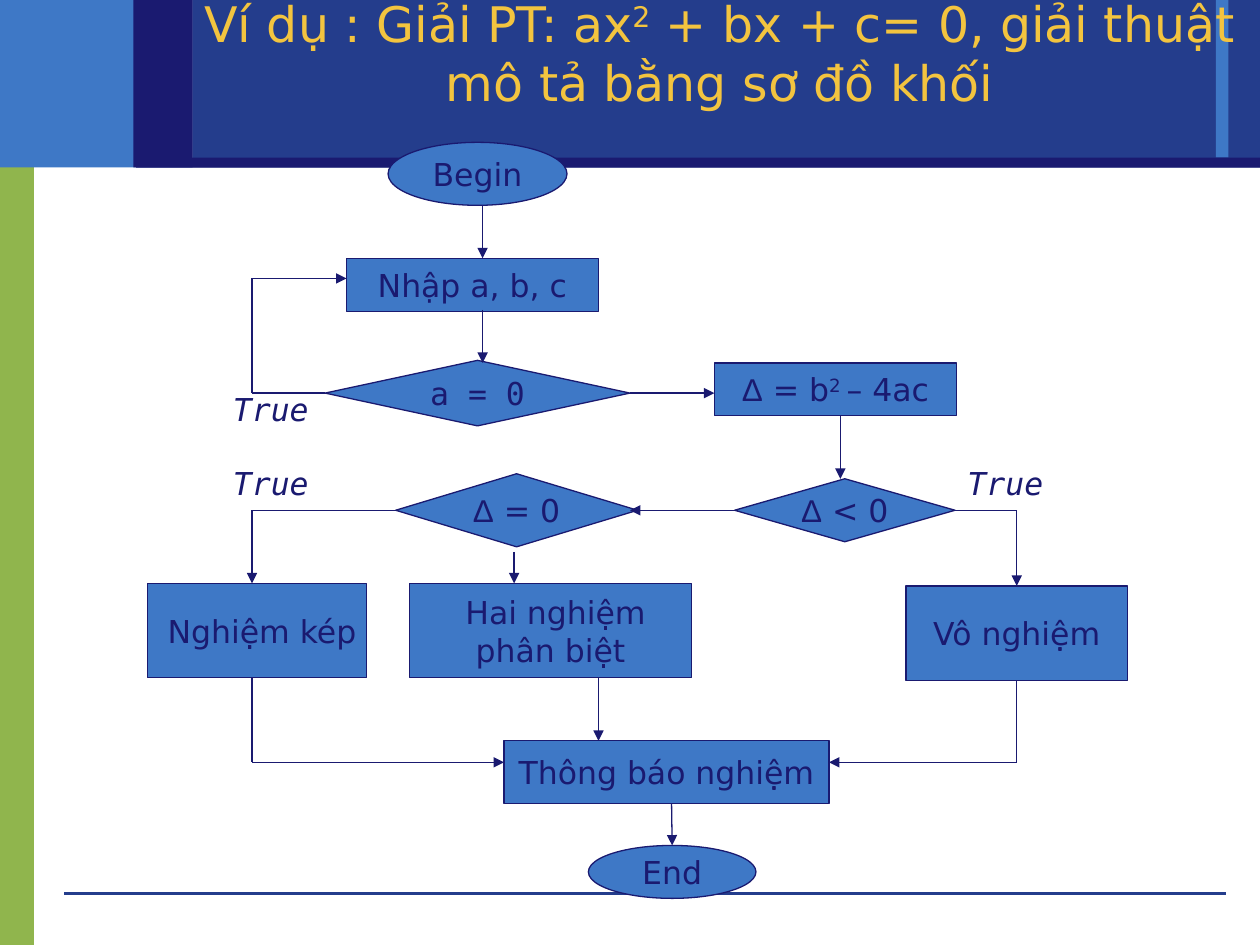
from itertools import pairwise

from lxml.etree import SubElement
from pptx import Presentation
from pptx.dml.color import RGBColor
from pptx.enum.shapes import MSO_CONNECTOR, MSO_SHAPE as Shape
from pptx.enum.text import MSO_ANCHOR as Anchor, MSO_AUTO_SIZE as AutoSize, PP_ALIGN as Align
from pptx.oxml.ns import qn
from pptx.util import Inches, Pt

NAVY, ROYAL, BLUE, GREEN, GOLD = "1A1A70", "243D8C", "3E78C6", "90B54D", "F3C43F"
SANS, MONO = "DejaVu Sans", "DejaVu Sans Mono"
TOP, LEFT, BOTTOM, RIGHT = range(4)
SUPER = {"baseline": 30000}
DELTA = ("Δ", {"font": "Arial"})


def rgb(value):
    return RGBColor.from_string(value)


def write_text(tf, paragraphs, size=18, font=SANS, color=NAVY, italic=False,
               align=Align.CENTER, before=0):
    """Fill a frame; each paragraph is a string or a list of (text, overrides)."""
    for i, runs in enumerate(paragraphs):
        p = tf.add_paragraph() if i else tf.paragraphs[0]
        p.alignment = align
        p.space_before = Pt(before)
        for text, own in [(runs, {})] if isinstance(runs, str) else runs:
            r = p.add_run()
            r.text = text
            r.font.size = Pt(size)
            r.font.name = own.get("font", font)
            r.font.italic = italic
            r.font.color.rgb = rgb(color)
            if "baseline" in own:
                r.font._element.set("baseline", str(own["baseline"]))


def add_block(s, kind, box, fill, line=None):
    sp = s.shapes.add_shape(kind, *map(Inches, box))
    sp.shadow.inherit = False
    sp.fill.solid()
    sp.fill.fore_color.rgb = rgb(fill)
    if line:
        sp.line.color.rgb = rgb(line)
        sp.line.width = Pt(0.75)
    else:
        sp.line.fill.background()
    return sp


def add_node(s, kind, box, *paragraphs, **fmt):
    sp = add_block(s, kind, box, BLUE, NAVY)
    tf = sp.text_frame
    tf.word_wrap = False
    tf.vertical_anchor = Anchor.MIDDLE
    write_text(tf, paragraphs, **fmt)
    return sp


def add_line(s, begin, end, color=NAVY, width=0.75, arrow=False):
    line = s.shapes.add_connector(MSO_CONNECTOR.STRAIGHT, *map(Inches, (*begin, *end)))
    line.line.color.rgb = rgb(color)
    line.line.width = Pt(width)
    if arrow:
        SubElement(line.line._get_or_add_ln(), qn("a:tailEnd"), type="triangle")
    SubElement(line._element.spPr, qn("a:effectLst"))
    return line


def add_flow(s, *points, begin=None, end=None, width=0.75):
    """Draw a path whose last leg has an arrow; begin and end are (shape, site)."""
    legs = list(pairwise(points))
    lines = [add_line(s, a, b, width=width, arrow=(i == len(legs)))
             for i, (a, b) in enumerate(legs, 1)]
    if begin:
        lines[0].begin_connect(*begin)
    if end:
        lines[-1].end_connect(*end)


def add_true_label(s, x, y):
    tf = s.shapes.add_textbox(*map(Inches, (x, y, 0.83, 0.4))).text_frame
    tf.word_wrap = True
    write_text(tf, ["True"], font=MONO, italic=True, align=Align.LEFT, before=11.2)


def add_backdrop(s):
    for box, fill in [
        ((0, 1.07, 0.27, 6.43), GREEN),
        ((0, 0, 1.53, 1.33), BLUE),
        ((1.53, 0, 8.47, 1.33), ROYAL),
        ((9.65, 0, 0.1, 1.25), BLUE),
        ((1.08, 1.25, 8.92, 0.08), NAVY),
        ((1.06, 0, 0.47, 1.33), NAVY),
    ]:
        add_block(s, Shape.RECTANGLE, box, fill)
    add_line(s, (0.51, 7.09), (9.73, 7.09), ROYAL, 0)


def add_title(s):
    title = s.shapes.title
    title.left, title.top, title.width, title.height = map(Inches, (1.42, 0, 8.58, 0.83))
    tf = title.text_frame
    tf.word_wrap = True
    tf.auto_size = AutoSize.NONE
    tf.vertical_anchor = Anchor.MIDDLE
    write_text(tf, [[("Ví dụ : Giải PT: ax", {}), ("2", SUPER),
                     (" + bx + c= 0, giải thuật mô tả bằng sơ đồ khối", {})]],
               size=28, color=GOLD)
    # The title must stand in front of the backdrop
    title.element.getparent().append(title.element)


def add_flowchart(s):
    rect, oval, test = Shape.RECTANGLE, Shape.OVAL, Shape.FLOWCHART_DECISION
    add_node(s, oval, (3.08, 1.13, 1.42, 0.5), "Begin")
    add_node(s, rect, (2.75, 2.05, 2, 0.42), "Nhập a, b, c")
    a_zero = add_node(s, test, (2.58, 2.86, 2.42, 0.52), "a = 0", font=MONO)
    add_node(s, rect, (5.67, 2.88, 1.92, 0.42),
             [DELTA, (" = b", {}), ("2 ", SUPER), ("– 4ac", {})])
    negative = add_node(s, test, (5.83, 3.8, 1.75, 0.5), [DELTA, (" < 0", {})])
    zero = add_node(s, test, (3.14, 3.76, 1.92, 0.58), [DELTA, (" = 0", {})])
    add_node(s, rect, (1.17, 4.63, 1.74, 0.75), " Nghiệm kép")
    add_node(s, rect, (3.25, 4.63, 2.24, 0.75), " Hai nghiệm", "phân biệt")
    no_root = add_node(s, rect, (7.19, 4.65, 1.76, 0.75), "Vô nghiệm")
    add_node(s, rect, (4, 5.88, 2.58, 0.5), "Thông báo nghiệm")
    end = add_node(s, oval, (4.67, 6.71, 1.33, 0.42), "End")

    add_flow(s, (3.83, 1.63), (3.83, 2.05), width=1)
    add_flow(s, (3.83, 2.46), (3.83, 2.88))
    add_flow(s, (2.58, 3.12), (2, 3.12), (2, 2.21), (2.75, 2.21), begin=(a_zero, LEFT))
    add_flow(s, (5, 3.12), (5.67, 3.12), begin=(a_zero, RIGHT))
    add_flow(s, (6.67, 3.3), (6.67, 3.8))
    add_flow(s, (5.83, 4.05), (5, 4.05), begin=(negative, LEFT))
    add_flow(s, (7.58, 4.05), (8.07, 4.05), (8.07, 4.65),
             begin=(negative, RIGHT), end=(no_root, TOP))
    add_flow(s, (3.14, 4.05), (2, 4.05), (2, 4.63), begin=(zero, LEFT))
    add_flow(s, (4.08, 4.38), (4.08, 4.63))
    add_flow(s, (2, 5.38), (2, 6.05), (4, 6.05))
    add_flow(s, (4.75, 5.38), (4.75, 5.88))
    add_flow(s, (8.07, 5.4), (8.07, 6.05), (6.58, 6.05), begin=(no_root, BOTTOM))
    add_flow(s, (5.33, 6.38), (5.33, 6.71), end=(end, TOP))

    for x, y in [(1.75, 3.05), (1.75, 3.63), (7.58, 3.63)]:
        add_true_label(s, x, y)


def main():
    prs = Presentation()
    prs.slide_width, prs.slide_height = Inches(10), Inches(7.5)
    s = prs.slides.add_slide(prs.slide_layouts[5])
    add_backdrop(s)
    add_title(s)
    add_flowchart(s)
    prs.save("out.pptx")


if __name__ == "__main__":
    main()
